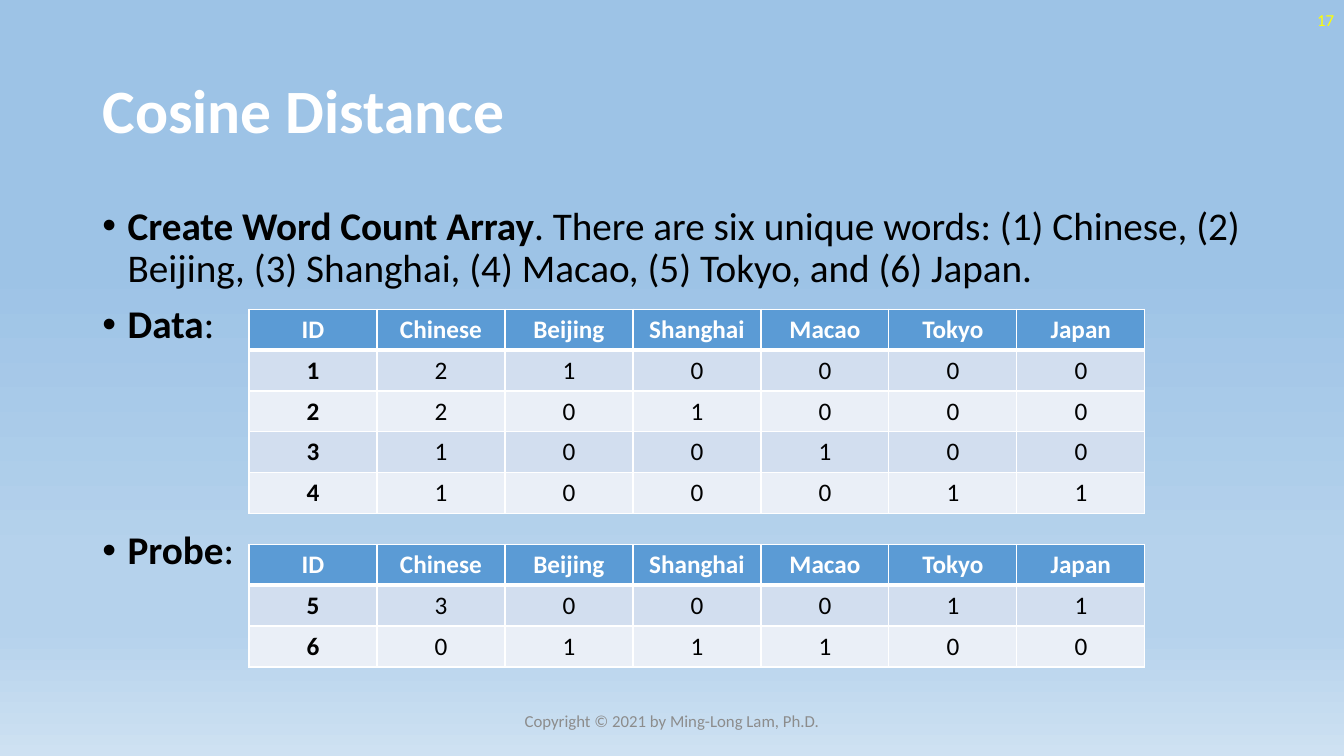
"""Build the slide on cosine distance with its two word count tables."""
import copy
import dataclasses

import lxml.etree
import pptx
import pptx.dml.color
import pptx.enum.text
import pptx.oxml.ns
import pptx.slide
import pptx.table
import pptx.text.text
import pptx.util

Pt = pptx.util.Pt
RGB = pptx.dml.color.RGBColor
Align = pptx.enum.text.PP_ALIGN
Anchor = pptx.enum.text.MSO_ANCHOR
qn = pptx.oxml.ns.qn

FONT = "Calibri"
WHITE = RGB(0xFF, 0xFF, 0xFF)
BLACK = RGB(0, 0, 0)
YELLOW = RGB(0xFF, 0xFF, 0)
GRAY = RGB(0x8C, 0x8C, 0x8C)
BLUE = RGB(0x5B, 0x9B, 0xD5)
BANDS = (RGB(0xEA, 0xEF, 0xF7), RGB(0xD2, 0xDE, 0xEF))
SKY = RGB(0x9D, 0xC3, 0xE6)
MIST = RGB(0xB5, 0xD2, 0xEC)
PALE = RGB(0xCE, 0xE1, 0xF2)
STOPS = ((0.35, SKY), (0.74, MIST), (0.83, MIST), (1, PALE))

LEFT, COL, ROW = 177.84, 91.43, 29.2
HEAD = ("ID", "Chinese", "Beijing", "Shanghai", "Macao", "Tokyo", "Japan")


@dataclasses.dataclass
class Item:
    lead: str
    rest: str
    gap: float = 10


@dataclasses.dataclass
class Grid:
    top: float
    rows: tuple[tuple[int, ...], ...]


@dataclasses.dataclass
class Label:
    text: str
    box: tuple[float, float, float, float]
    align: Align
    color: RGB


ITEMS = (
    Item("Create Word Count Array", ". There are six unique words: (1) Chinese, "
         "(2) Beijing, (3) Shanghai, (4) Macao, (5) Tokyo, and (6) Japan."),
    Item("Data", ":"),
    Item("Probe", ":", 131),
)
GRIDS = (
    Grid(220.9, ((1, 2, 1, 0, 0, 0, 0), (2, 2, 0, 1, 0, 0, 0),
                 (3, 1, 0, 0, 1, 0, 0), (4, 1, 0, 0, 0, 1, 1))),
    Grid(388.8, ((5, 3, 0, 0, 0, 1, 1), (6, 0, 1, 1, 1, 0, 0))),
)
LABELS = (
    Label("17", (744, 0, 216, 28.75), Align.RIGHT, YELLOW),
    Label("Copyright © 2021 by Ming-Long Lam, Ph.D.", (318, 500.5, 324, 28.75),
          Align.CENTER, GRAY),
)


def style(para: pptx.text.text._Paragraph, size: float, color: RGB,
          align: Align, bold: bool | None = None) -> None:
    para.alignment = align
    font = para.font
    font.name, font.size, font.bold = FONT, Pt(size), bold
    font.color.rgb = color


def place(shape, box: tuple[float, float, float, float]) -> None:
    shape.left, shape.top, shape.width, shape.height = map(Pt, box)


def paint(slide: pptx.slide.Slide) -> None:
    fill = slide.background.fill
    fill.gradient()
    fill.gradient_angle = 270
    stops = next(slide.element.iter(qn("a:gsLst")))
    while len(stops) < len(STOPS):
        stops.append(copy.deepcopy(stops[0]))
    for stop, (pos, color) in zip(fill.gradient_stops, STOPS):
        stop.position = pos
        stop.color.rgb = color


def add_title(slide: pptx.slide.Slide) -> None:
    title = slide.shapes.title
    place(title, (66, 28.75, 828, 104.4))
    frame = title.text_frame
    frame.text = "Cosine Distance"
    frame.vertical_anchor = Anchor.MIDDLE
    para = frame.paragraphs[0]
    para.line_spacing = 0.9
    style(para, 44, WHITE, Align.LEFT, True)


def add_list(slide: pptx.slide.Slide) -> None:
    body = slide.placeholders[1]
    place(body, (66, 143.75, 828, 347))
    frame = body.text_frame
    frame.auto_size = pptx.enum.text.MSO_AUTO_SIZE.NONE
    for i, item in enumerate(ITEMS):
        para = frame.add_paragraph() if i else frame.paragraphs[0]
        style(para, 28, BLACK, Align.LEFT)
        para.line_spacing = 0.9
        para.space_before = Pt(item.gap)
        props = para._p.get_or_add_pPr()
        props.set("marL", str(Pt(18)))
        props.set("indent", str(Pt(-18)))
        for text, bold in ((item.lead, True), (item.rest, False)):
            run = para.add_run()
            run.text = text
            run.font.bold = bold


def add_label(slide: pptx.slide.Slide, label: Label) -> None:
    frame = slide.shapes.add_textbox(*map(Pt, label.box)).text_frame
    frame.word_wrap = True
    frame.vertical_anchor = Anchor.MIDDLE
    frame.text = label.text
    style(frame.paragraphs[0], 12, label.color, label.align)


def edge(cell: pptx.table._Cell, row: int) -> None:
    props = cell._tc.get_or_add_tcPr()
    wide = {(0, "B"), (1, "T")}
    for side in "LRTB":
        width = Pt(3 if (row, side) in wide else 1)
        line = lxml.etree.SubElement(props, qn("a:ln" + side), w=str(width))
        fill = lxml.etree.SubElement(line, qn("a:solidFill"))
        lxml.etree.SubElement(fill, qn("a:srgbClr"), val=str(WHITE))


def add_grid(slide: pptx.slide.Slide, grid: Grid) -> None:
    rows = (HEAD, *grid.rows)
    box = (LEFT, grid.top, COL * len(HEAD), ROW * len(rows))
    table = slide.shapes.add_table(len(rows), len(HEAD), *map(Pt, box)).table
    for col in table.columns:
        col.width = Pt(COL)
    for r, values in enumerate(rows):
        table.rows[r].height = Pt(ROW)
        for c, value in enumerate(values):
            cell = table.cell(r, c)
            cell.text = str(value)
            cell.vertical_anchor = Anchor.MIDDLE
            edge(cell, r)
            cell.fill.solid()
            cell.fill.fore_color.rgb = BANDS[r % 2] if r else BLUE
            style(cell.text_frame.paragraphs[0], 18, BLACK if r else WHITE,
                  Align.CENTER, r == 0 or c == 0)


def main() -> None:
    deck = pptx.Presentation()
    deck.slide_width, deck.slide_height = Pt(960), Pt(540)
    slide = deck.slides.add_slide(deck.slide_layouts[1])
    paint(slide)
    add_title(slide)
    add_list(slide)
    for label in LABELS:
        add_label(slide, label)
    for grid in GRIDS:
        add_grid(slide, grid)
    deck.save("out.pptx")


if __name__ == "__main__":
    main()
